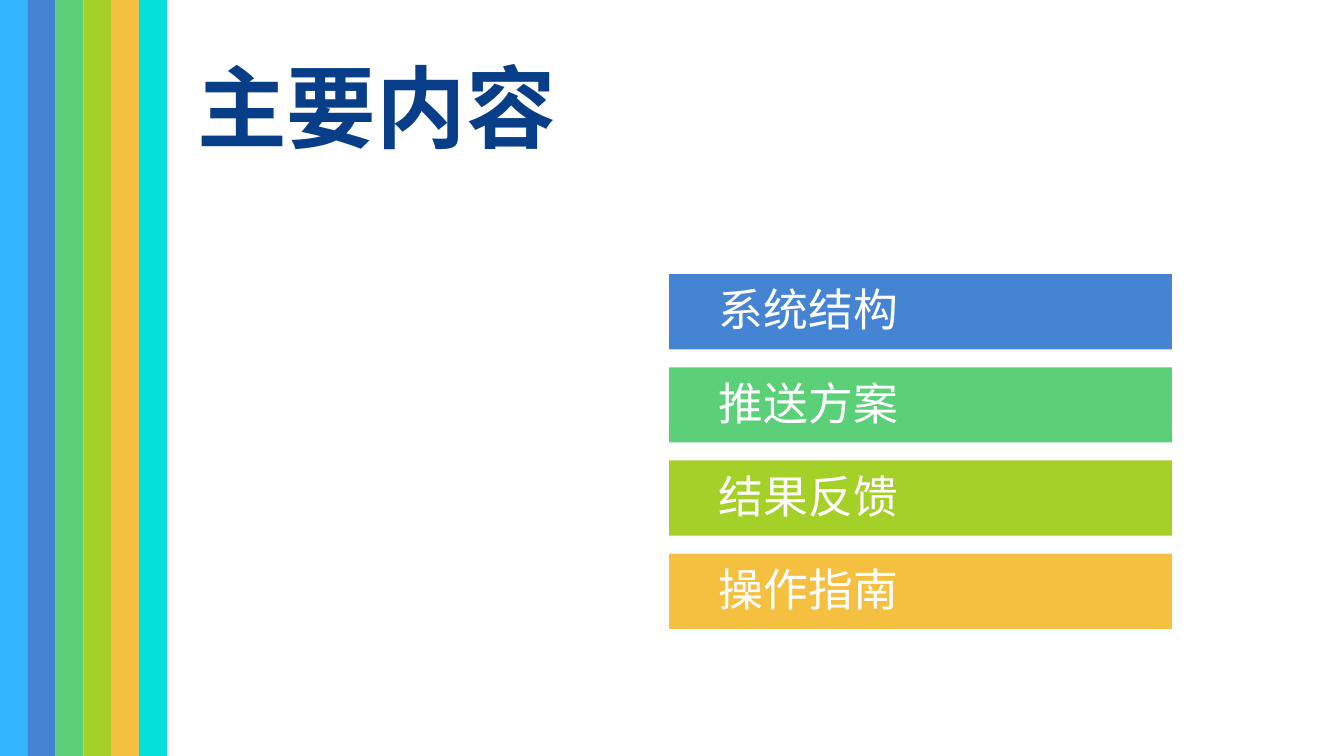
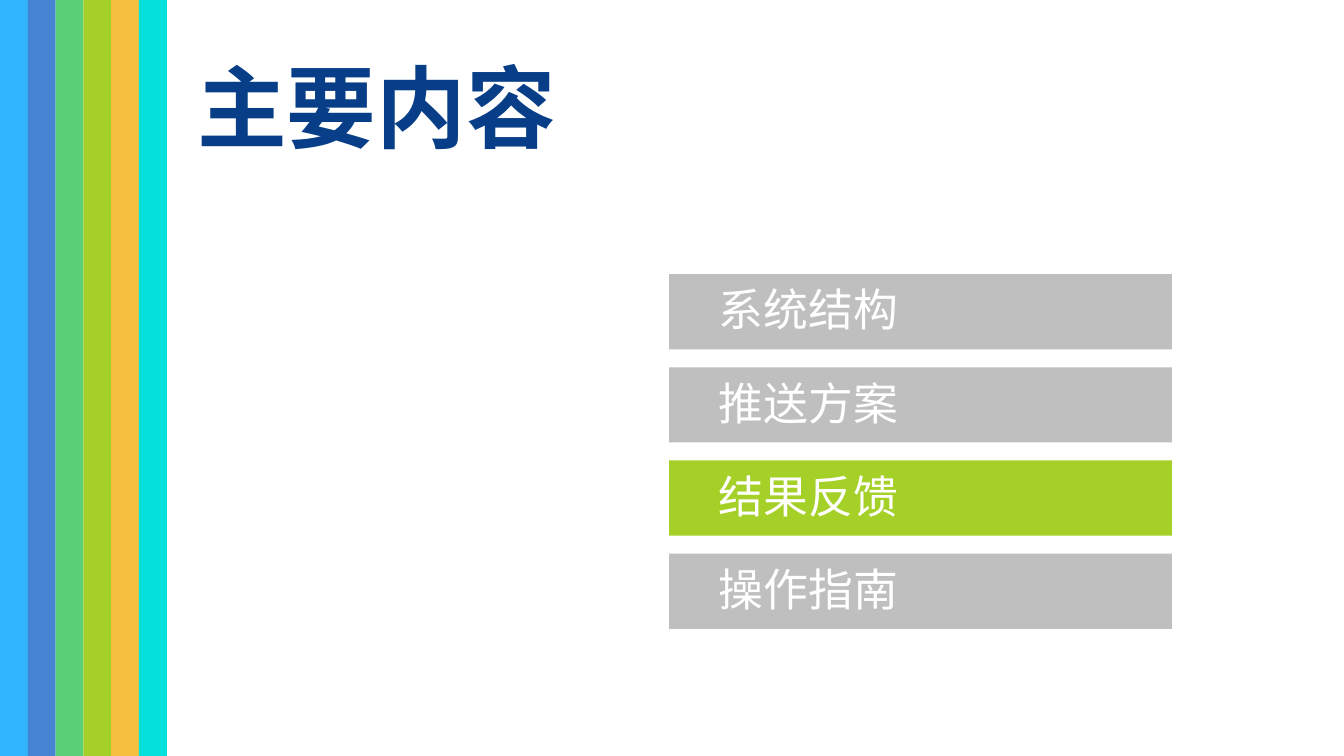
from lxml.etree import SubElement
from pptx import Presentation
from pptx.dml.color import RGBColor
from pptx.enum.shapes import MSO_SHAPE
from pptx.enum.text import MSO_AUTO_SIZE
from pptx.oxml.ns import qn
from pptx.util import Inches, Pt

TITLE = "主要内容"
ITEMS = [
    ("系统结构", "4584D3"),
    ("推送方案", "5BD078"),
    ("结果反馈", "A5D028"),
    ("操作指南", "F5C040"),
]
SLIDES = [{0, 1, 2, 3}, {2}]

BANDS = ["31B6FD", *(tint for _, tint in ITEMS), "05E0DB"]
NAVY, WHITE, GREY = "073E87", "FFFFFF", "BFBFBF"
HEAD, BODY = "TeX Gyre Adventor", "Noto Sans CJK SC"

WIDE, HIGH = 10, 5.625
BAND = WIDE / 48
BAND_STEP = 1.24 / len(BANDS)
LEFT, TOP, BAR_W, BAR_H = 4.98, 2.04, 3.74, 0.56
STEP = (4.12 - TOP) / (len(ITEMS) - 1)
INDENT = 0.27


def color(code):
    return RGBColor.from_string(code)


def add_bar(shapes, left, top, width, height, tint):
    bar = shapes.add_shape(MSO_SHAPE.RECTANGLE, *map(Inches, (left, top, width, height)))
    bar.shadow.inherit = False
    bar.fill.solid()
    bar.fill.fore_color.rgb = color(tint)
    bar.line.fill.background()


def add_text(slide, words, left, top, width, height, size, face, tint, bold=False):
    box = slide.shapes.add_textbox(*map(Inches, (left, top, width, height)))
    frame = box.text_frame
    frame.word_wrap = True
    frame.auto_size = MSO_AUTO_SIZE.SHAPE_TO_FIT_TEXT
    para = frame.paragraphs[0]
    para.text = words
    font = para.font
    font.size, font.name, font.bold = Pt(size), face, bold
    font.color.rgb = color(tint)
    props = para._p.pPr.find(qn("a:defRPr"))
    SubElement(props, qn("a:ea")).set("typeface", BODY)


def add_frame(slide):
    group = slide.shapes.add_group_shape()
    for col, tint in enumerate(BANDS):
        add_bar(group.shapes, col * BAND_STEP, 0, BAND, HIGH, tint)


def add_menu(slide, active):
    for row, (words, tint) in enumerate(ITEMS):
        top = TOP + row * STEP
        add_bar(slide.shapes, LEFT, top, BAR_W, BAR_H, tint if row in active else GREY)
        add_text(slide, words, LEFT + INDENT, top + 0.01, BAR_W - INDENT, 0.5, 24, BODY, WHITE)


def main():
    deck = Presentation()
    deck.slide_width, deck.slide_height = Inches(WIDE), Inches(HIGH)
    for active in SLIDES:
        slide = deck.slides.add_slide(deck.slide_layouts[6])
        add_frame(slide)
        add_menu(slide, active)
        add_text(slide, TITLE, 1.37, 0.34, 3.88, 0.91, 48, HEAD, NAVY, True)
    deck.save("out.pptx")


if __name__ == "__main__":
    main()
